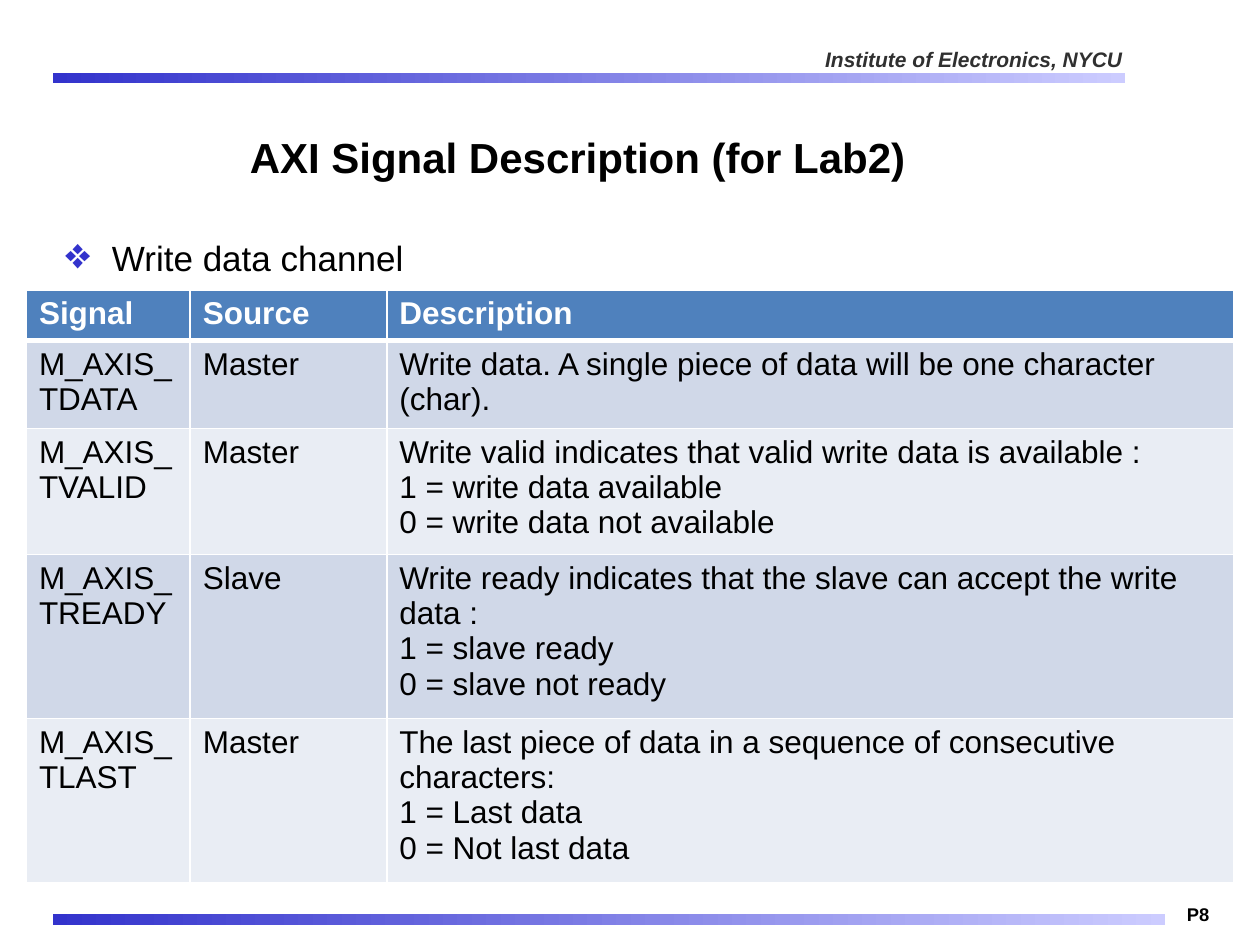
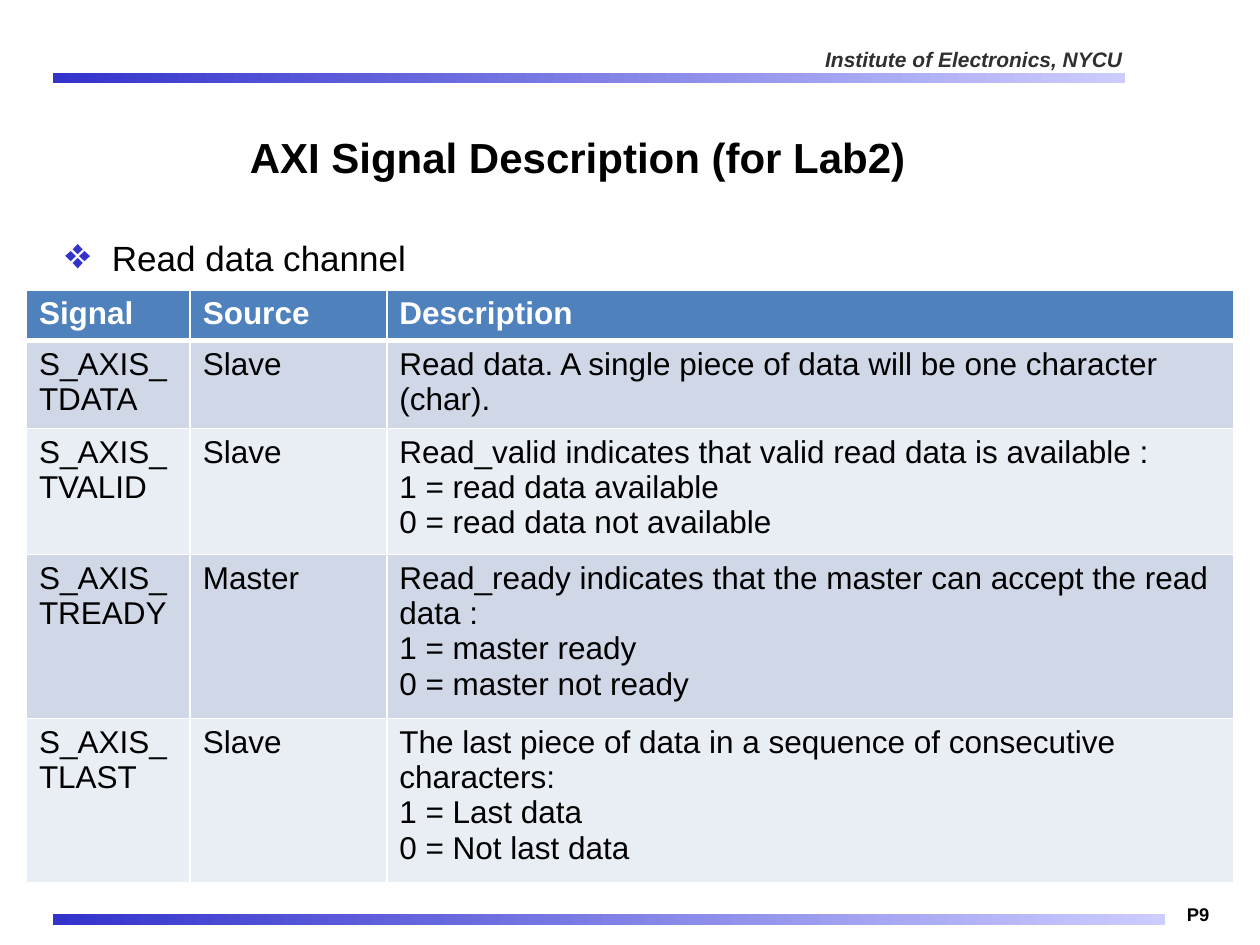
from lxml.etree import SubElement
from pptx import Presentation
from pptx.dml.color import RGBColor
from pptx.enum.shapes import MSO_SHAPE as Shape
from pptx.enum.text import MSO_ANCHOR as Anchor, PP_ALIGN as Align
from pptx.oxml import parse_xml
from pptx.oxml.ns import nsdecls, qn
from pptx.util import Inches, Pt

# Colours shared by both slides
BLACK = RGBColor(0x00, 0x00, 0x00)
WHITE = RGBColor(0xFF, 0xFF, 0xFF)
GREY = RGBColor(0x30, 0x30, 0x30)
BAND_START = RGBColor(0x33, 0x33, 0xCC)
BAND_END = RGBColor(0xCC, 0xCC, 0xFF)
HEAD_FILL = RGBColor(0x4F, 0x81, 0xBD)
ROW_FILLS = (RGBColor(0xD0, 0xD8, 0xE8), RGBColor(0xE9, 0xED, 0xF4))

TITLE = "AXI Signal Description (for Lab2)"
HEADINGS = ("Signal", "Source", "Description")
COLUMN_WIDTHS = (1.3, 1.56, 6.72)
ROW_HEIGHTS = (0.35, 0.41, 0.41, 0.41, 0.41)  # rows grow to fit their text

LAST_DATA = (
    "The last piece of data in a sequence of consecutive characters:",
    "1 = Last data",
    "0 = Not last data",
)
WRITE_SIGNALS = (
    ("M_AXIS_TDATA", "Master",
     ("Write data. A single piece of data will be one character (char).",)),
    ("M_AXIS_TVALID", "Master",
     ("Write valid indicates that valid write data is available :",
      "1 = write data available", "0 = write data not available")),
    ("M_AXIS_TREADY", "Slave",
     ("Write ready indicates that the slave can accept the write data :",
      "1 = slave ready", "0 = slave not ready")),
    ("M_AXIS_TLAST", "Master", LAST_DATA),
)
READ_SIGNALS = (
    ("S_AXIS_TDATA", "Slave",
     ("Read data. A single piece of data will be one character (char).",)),
    ("S_AXIS_TVALID", "Slave",
     ("Read_valid indicates that valid read data is available :",
      "1 = read data available", "0 = read data not available")),
    ("S_AXIS_TREADY", "Master",
     ("Read_ready indicates that the master can accept the read data :",
      "1 = master ready", "0 = master not ready")),
    ("S_AXIS_TLAST", "Slave", LAST_DATA),
)


def add_span(para, text, size=18, color=BLACK, bold=False, italic=False):
    span = para.add_run()
    span.text = text
    span.font.name = "Arial"
    span.font.size = Pt(size)
    span.font.color.rgb = color
    span.font.bold = bold
    span.font.italic = italic


def add_box(page, left, top, width, height, inset=(0.1, 0.05), wrap=True):
    """Add an empty text box and return its text frame."""
    box = page.shapes.add_textbox(
        Inches(left), Inches(top), Inches(width), Inches(height))
    frame = box.text_frame
    frame.word_wrap = wrap
    frame.margin_left = frame.margin_right = Inches(inset[0])
    frame.margin_top = frame.margin_bottom = Inches(inset[1])
    return frame


def add_band(page, top, width, height):
    band = page.shapes.add_shape(
        Shape.RECTANGLE, Inches(0.42), Inches(top), Inches(width), Inches(height))
    band.shadow.inherit = False
    band.line.fill.background()
    band.fill.gradient()
    band.fill.gradient_angle = 0
    for stop, color in zip(band.fill.gradient_stops, (BAND_START, BAND_END)):
        stop.color.rgb = color


def add_frame(page, number):
    """Add the header, footer and page number."""
    add_band(page, 0.58, 8.51, 0.08)
    header = add_box(page, 0.33, 0.33, 8.65, 0.27, inset=(0.07, 0.04))
    para = header.paragraphs[0]
    para.alignment = Align.RIGHT
    add_span(para, "Institute of Electronics, NYCU", size=12, color=GREY,
             bold=True, italic=True)

    footer = add_box(page, 9.35, 7.13, 0.43, 0.25, inset=(0.07, 0.04), wrap=False)
    add_span(footer.paragraphs[0], f"P{number}", size=10.5, bold=True)
    add_band(page, 7.25, 8.83, 0.09)


def add_title(page, text):
    frame = add_box(page, 0.42, 0.83, 8.33, 0.83)
    frame.vertical_anchor = Anchor.MIDDLE
    para = frame.paragraphs[0]
    para.alignment = Align.CENTER
    add_span(para, text, size=24, bold=True)


def add_bullet(page, text):
    para = add_box(page, 0.42, 1.83, 9.17, 0.45).paragraphs[0]
    para.space_before = Pt(4)
    props = para._p.get_or_add_pPr()
    props.set("marL", str(Inches(0.37)))
    props.set("indent", str(-Inches(0.37)))
    color = SubElement(props, qn("a:buClr"))
    SubElement(color, qn("a:srgbClr"), val=str(BAND_START))
    SubElement(props, qn("a:buSzPct"), val="125000")
    SubElement(props, qn("a:buChar"), char="❖")
    add_span(para, text, size=20)


def set_borders(cell):
    """Give a heading cell white borders, thick at the bottom."""
    props = cell._tc.get_or_add_tcPr()
    widths = (("lnL", 1), ("lnR", 1), ("lnT", 1), ("lnB", 3))
    for place, (side, width) in enumerate(widths):
        props.insert(place, parse_xml(
            f'<a:{side} {nsdecls("a")} w="{Pt(width)}"><a:solidFill>'
            f'<a:srgbClr val="{WHITE}"/></a:solidFill></a:{side}>'))


def fill_cell(cell, lines, fill, **style):
    cell.fill.solid()
    cell.fill.fore_color.rgb = fill
    frame = cell.text_frame
    for index, line in enumerate(lines):
        para = frame.add_paragraph() if index else frame.paragraphs[0]
        add_span(para, line, **style)


def add_signal_table(page, signals):
    table = page.shapes.add_table(
        len(ROW_HEIGHTS), len(COLUMN_WIDTHS), Inches(0.21), Inches(2.3),
        Inches(sum(COLUMN_WIDTHS)), Inches(sum(ROW_HEIGHTS))).table
    for column, width in zip(table.columns, COLUMN_WIDTHS):
        column.width = Inches(width)
    for row, height in zip(table.rows, ROW_HEIGHTS):
        row.height = Inches(height)
    for index, heading in enumerate(HEADINGS):
        cell = table.cell(0, index)
        fill_cell(cell, [heading], HEAD_FILL, color=WHITE, bold=True)
        set_borders(cell)
    for index, (signal, source, description) in enumerate(signals):
        fill = ROW_FILLS[index % 2]
        for column, lines in enumerate(([signal], [source], description)):
            fill_cell(table.cell(index + 1, column), lines, fill)


def main():
    deck = Presentation()
    deck.slide_width, deck.slide_height = Inches(10), Inches(7.5)
    channels = (("Write data channel", WRITE_SIGNALS),
                ("Read data channel", READ_SIGNALS))
    for number, (channel, signals) in enumerate(channels, start=8):
        page = deck.slides.add_slide(deck.slide_layouts[6])
        add_frame(page, number)
        add_title(page, TITLE)
        add_bullet(page, channel)
        add_signal_table(page, signals)
    deck.save("out.pptx")


if __name__ == "__main__":
    main()
